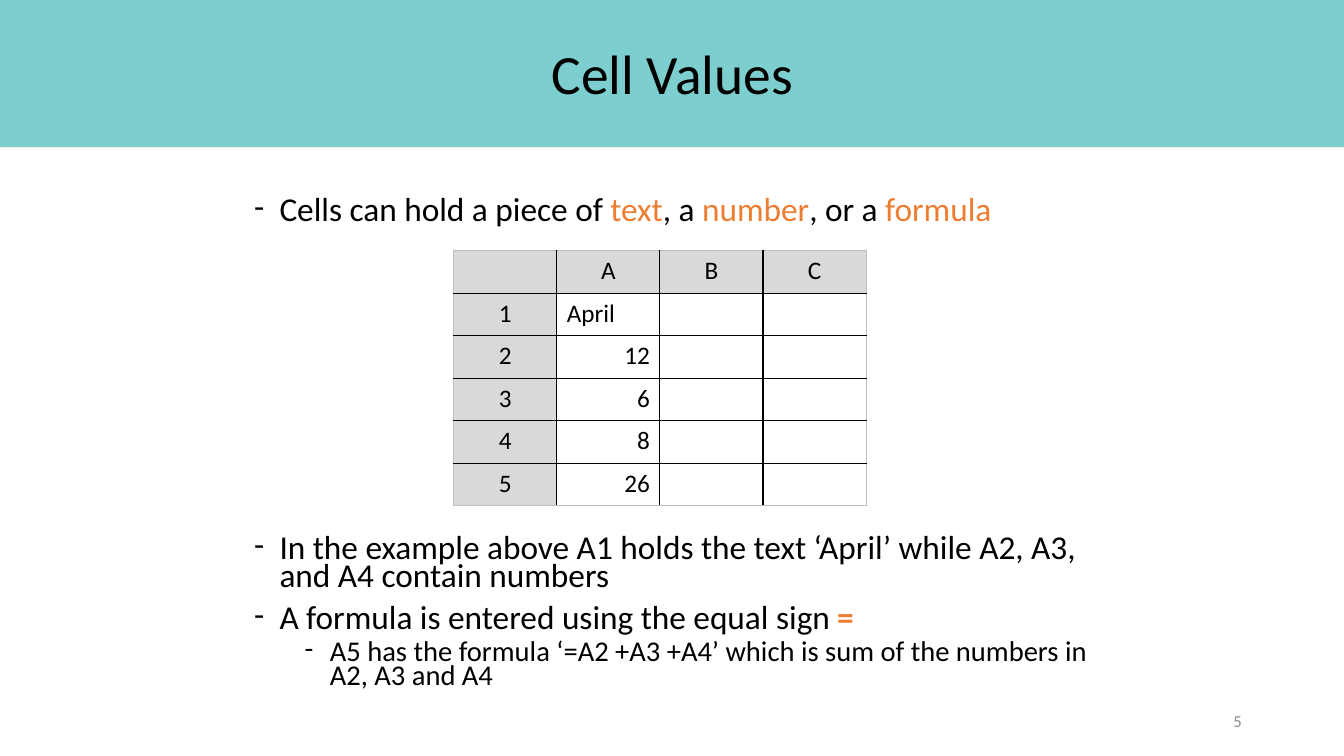
from lxml import etree
from pptx import Presentation
from pptx.dml.color import RGBColor
from pptx.enum.shapes import MSO_SHAPE
from pptx.enum.text import MSO_ANCHOR, MSO_AUTO_SIZE, PP_ALIGN
from pptx.oxml.ns import qn
from pptx.util import Cm, Pt

RECTANGLE = MSO_SHAPE.RECTANGLE
MIDDLE, TOP = MSO_ANCHOR.MIDDLE, MSO_ANCHOR.TOP
NO_AUTOFIT = MSO_AUTO_SIZE.NONE
LEFT, CENTER, RIGHT = PP_ALIGN.LEFT, PP_ALIGN.CENTER, PP_ALIGN.RIGHT

BLACK = RGBColor(0x00, 0x00, 0x00)
TEAL = RGBColor(0x7D, 0xCF, 0xCF)
ORANGE = RGBColor(0xED, 0x7D, 0x31)
HEADER_GRAY = RGBColor(0xD9, 0xD9, 0xD9)
EDGE_GRAY = RGBColor(0xBF, 0xBF, 0xBF)
NUMBER_GRAY = RGBColor(0x8C, 0x8C, 0x8C)

SHEET = [
    ["", "A", "B", "C"],
    ["1", "April", "", ""],
    ["2", "12", "", ""],
    ["3", "6", "", ""],
    ["4", "8", "", ""],
    ["5", "26", "", ""],
]

# Each point: level, space before, size, runs of (text, highlighted, bold)
POINTS = [
    (0, 10, 23.8, [
        ("Cells can hold a piece of ", False, False), ("text", True, False),
        (", a", False, False), (" number", True, False),
        (", or a ", False, False), ("formula", True, False),
    ]),
    (0, 221, 23.8, [
        ("In the example above A1 holds the text ‘April’ while A2, A3, "
         "and A4 contain numbers", False, False),
    ]),
    (0, 10, 23.8, [
        ("A formula is entered using the equal sign ", False, False),
        ("=", True, True),
    ]),
    (1, 5, 20.4, [
        ("A5 has the formula ‘=A2 +A3 +A4’ which is sum of the numbers in "
         "A2, A3 and A4", False, False),
    ]),
]


class LessonSlide:
    """A lesson slide with its style and a method for each kind of element."""

    font_name = "Calibri"

    def __init__(self, presentation):
        self.slide = presentation.slides.add_slide(presentation.slide_layouts[1])

    def style_run(self, run, size, color=BLACK, bold=False):
        run.font.name = self.font_name
        run.font.size = Pt(size)
        run.font.color.rgb = color
        run.font.bold = bold

    def set_text(self, frame, text, size, align, color=BLACK):
        frame.text = text
        paragraph = frame.paragraphs[0]
        paragraph.alignment = align
        paragraph.font.size = Pt(size)
        for run in paragraph.runs:
            self.style_run(run, size, color)
        return paragraph

    def place(self, placeholder, left, top, width, height, anchor):
        placeholder.left, placeholder.top = Cm(left), Cm(top)
        placeholder.width, placeholder.height = Cm(width), Cm(height)
        frame = placeholder.text_frame
        frame.auto_size = NO_AUTOFIT
        frame.vertical_anchor = anchor
        return frame

    def band(self, width, height):
        band = self.slide.shapes.add_shape(RECTANGLE, 0, 0, width, Cm(height))
        band.shadow.inherit = False
        band.fill.solid()
        band.fill.fore_color.rgb = TEAL
        band.line.fill.background()
        self.slide.shapes.title.element.addprevious(band.element)

    def title(self, text, *box):
        frame = self.place(self.slide.shapes.title, *box, MIDDLE)
        self.set_text(frame, text, 39.6, CENTER).line_spacing = 0.9

    def points(self, points, *box):
        frame = self.place(self.slide.placeholders[1], *box, TOP)
        frame.text = "\n".join(
            "".join(text for text, _, _ in runs) for _, _, _, runs in points)
        for paragraph, (level, before, size, runs) in zip(frame.paragraphs, points):
            paragraph.text = ""
            paragraph.level = level
            paragraph.line_spacing = 0.7
            paragraph.space_before = Pt(before)
            for text, highlighted, bold in runs:
                run = paragraph.add_run()
                run.text = text
                self.style_run(run, size, ORANGE if highlighted else BLACK, bold)
            self.dash(paragraph, level)

    def dash(self, paragraph, level):
        properties = paragraph._p.get_or_add_pPr()
        properties.set("marL", str(Cm(0.64 + 1.27 * level)))
        properties.set("indent", str(-Cm(0.64)))
        etree.SubElement(properties, qn("a:buFont"), typeface=self.font_name)
        etree.SubElement(properties, qn("a:buChar"), char="-")

    def sheet(self, values, left, top, column_width, row_height):
        rows, columns = len(values), len(values[0])
        table = self.slide.shapes.add_table(
            rows, columns, Cm(left), Cm(top),
            Cm(column_width * columns), Cm(row_height * rows)).table
        table.first_row = table.horz_banding = False
        for r, row in enumerate(values):
            for c, value in enumerate(row):
                cell = table.cell(r, c)
                heading = r == 0 or c == 0
                if heading:
                    cell.fill.solid()
                    cell.fill.fore_color.rgb = HEADER_GRAY
                else:
                    cell.fill.background()
                align = CENTER if heading else RIGHT if value.isdigit() else LEFT
                self.set_text(cell.text_frame, value, 18, align)
                self.borders(cell, {
                    "L": c == 0, "R": c == columns - 1,
                    "T": r == 0, "B": r == rows - 1})

    def borders(self, cell, outer_sides):
        properties = cell._tc.get_or_add_tcPr()
        for position, (side, outer) in enumerate(outer_sides.items()):
            line = etree.Element(qn(f"a:ln{side}"), w=str(Pt(1)))
            fill = etree.SubElement(line, qn("a:solidFill"))
            color = EDGE_GRAY if outer else BLACK
            etree.SubElement(fill, qn("a:srgbClr"), val=str(color))
            properties.insert(position, line)

    def page_number(self, text, left, top, width, height):
        box = self.slide.shapes.add_textbox(
            Cm(left), Cm(top), Cm(width), Cm(height))
        box.text_frame.word_wrap = True
        box.text_frame.vertical_anchor = MIDDLE
        self.set_text(box.text_frame, text, 12, RIGHT, NUMBER_GRAY)


def main():
    presentation = Presentation()
    presentation.slide_width = Cm(33.87)
    presentation.slide_height = Cm(19.05)
    lesson = LessonSlide(presentation)
    lesson.band(presentation.slide_width, 3.71)
    lesson.title("Cell Values", 2.34, 0.97, 29.21, 1.93)
    lesson.points(POINTS, 6.15, 4.9, 21.59, 12.78)
    lesson.sheet(SHEET, 11.43, 6.32, 2.6, 1.07)
    lesson.page_number("5", 23.93, 17.65, 7.62, 1.02)
    presentation.save("out.pptx")


if __name__ == "__main__":
    main()
